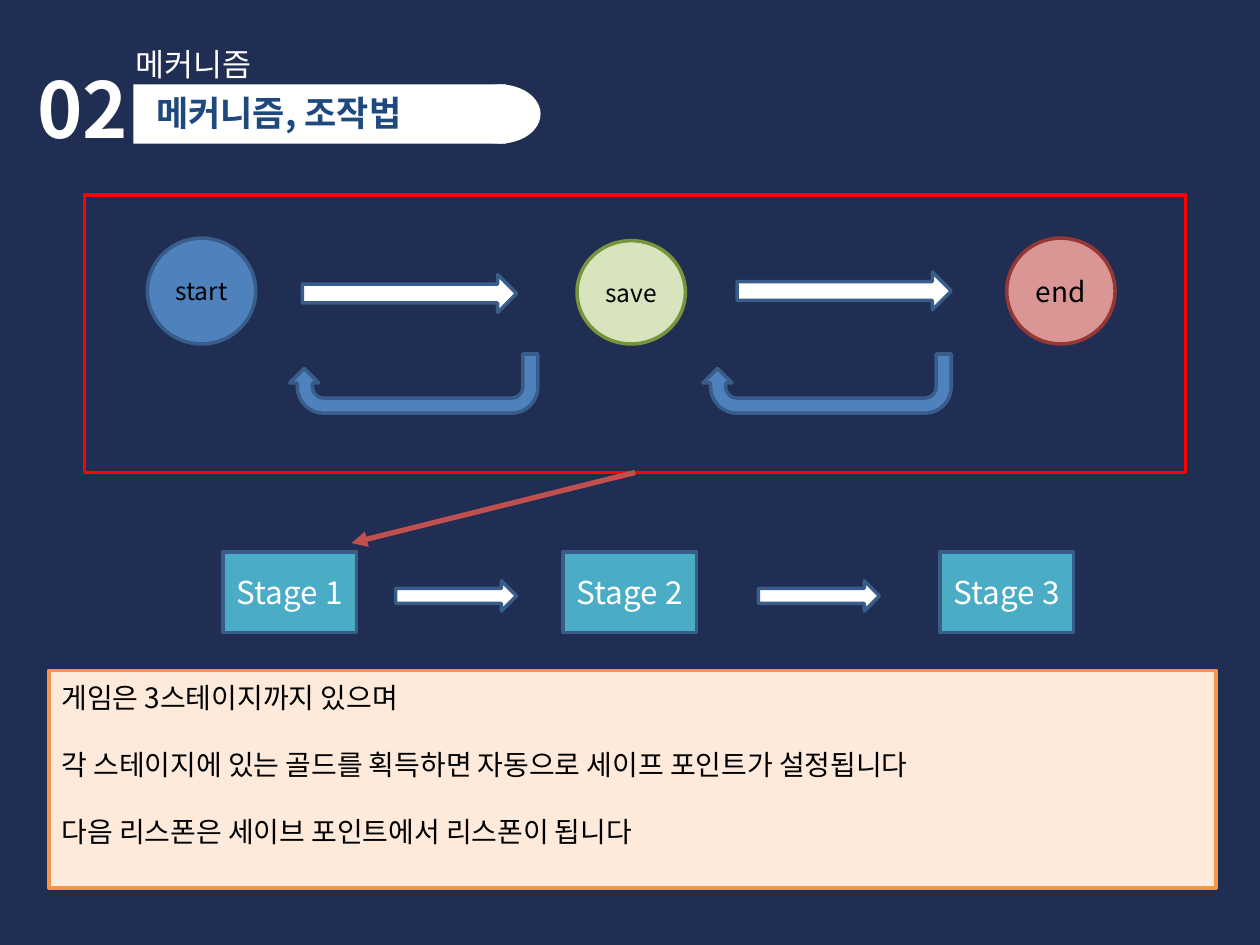
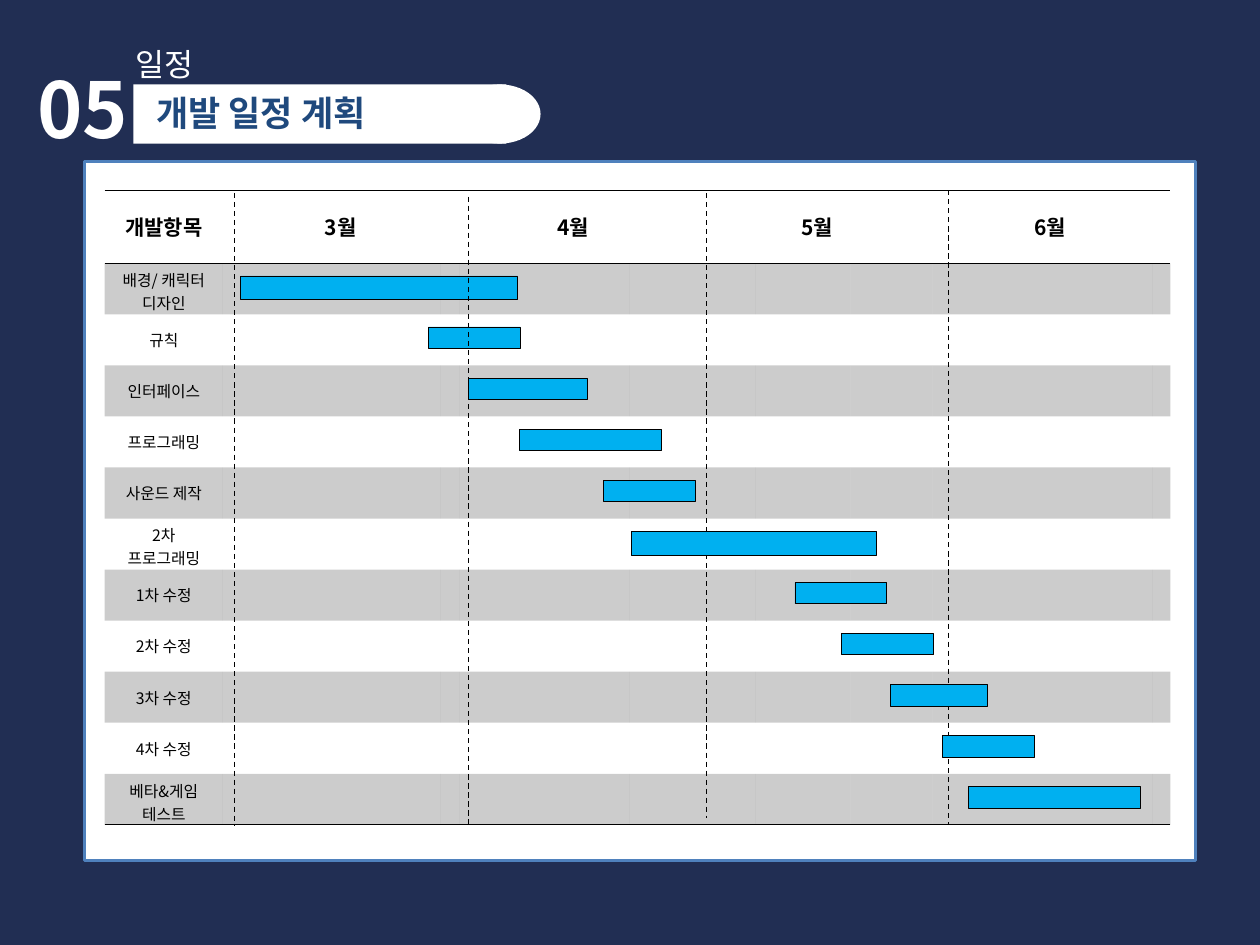
"""Build the game mechanism slide and the development schedule slide."""
import math

import pptx
import pptx.dml.color
import pptx.enum.dml
import pptx.enum.shapes
import pptx.enum.text
import pptx.oxml
import pptx.oxml.ns
import pptx.util

Inches = pptx.util.Inches
Pt = pptx.util.Pt
RGBColor = pptx.dml.color.RGBColor
Shape = pptx.enum.shapes.MSO_SHAPE
Anchor = pptx.enum.text.MSO_ANCHOR
Align = pptx.enum.text.PP_ALIGN
qn = pptx.oxml.ns.qn

FONT = "Noto Sans CJK KR"
NAVY = RGBColor(0x21, 0x2E, 0x53)
WHITE = RGBColor(0xFF, 0xFF, 0xFF)
BLACK = RGBColor(0x00, 0x00, 0x00)
TITLE_BLUE = RGBColor(0x1F, 0x49, 0x7D)
BLUE = RGBColor(0x4F, 0x81, 0xBD)
EDGE_BLUE = RGBColor(0x38, 0x5D, 0x8A)
TEAL = RGBColor(0x4B, 0xAC, 0xC6)
RED = RGBColor(0xFF, 0x00, 0x00)
BRICK = RGBColor(0xC0, 0x50, 0x4D)
PEACH = RGBColor(0xFD, 0xEA, 0xDA)
ORANGE = RGBColor(0xF7, 0x96, 0x46)
PALE_GREEN = RGBColor(0xD7, 0xE4, 0xBD)
GREEN = RGBColor(0x77, 0x93, 0x3C)
PINK = RGBColor(0xD9, 0x96, 0x94)
DARK_RED = RGBColor(0x95, 0x37, 0x35)
BAR_BLUE = RGBColor(0x00, 0xB0, 0xF0)

COLUMN_WIDTHS = [0.94, 1.73, 0.15, 1.35, 1, 0.75, 0.65, 1.75, 0.13]
HEADER_HEIGHT = 0.58
HEADERS = {0: ("개발항목", 0), 1: ("3월", 0.14), 3: ("4월", 0.45),
           5: ("5월", 0.22), 7: ("6월", 0.12)}
MONTH_LINES = [(1.03, 0.02, 5.04), (2.89, 0.05, 5.04), (4.78, 0.02, 4.98), (6.7, 0, 5.04)]
TASKS = [
    ("배경/ 캐릭터\n디자인", 1.08, 2.2, 0.19),
    ("규칙", 2.57, 0.73, 0.17),
    ("인터페이스", 2.89, 0.94, 0.17),
    ("프로그래밍", 3.29, 1.13, 0.17),
    ("사운드 제작", 3.96, 0.73, 0.17),
    ("2차\n프로그래밍", 4.18, 1.95, 0.19),
    ("1차 수정", 5.48, 0.73, 0.17),
    ("2차 수정", 5.85, 0.73, 0.17),
    ("3차 수정", 6.24, 0.77, 0.17),
    ("4차 수정", 6.65, 0.73, 0.17),
    ("베타&게임\n테스트", 6.86, 1.36, 0.17),
]


def inside(box, left, top, width, height):
    """Return lengths for a part placed relative to the corner of a box."""
    return [Inches(n) for n in (box[0] + left, box[1] + top, width, height)]


def write_text(frame, text, size=18, color=WHITE, bold=False, align=Align.LEFT,
               anchor=Anchor.TOP, space_after=0):
    """Fill a text frame with one formatted paragraph per line of text."""
    frame.word_wrap = True
    frame.vertical_anchor = anchor
    for index, line in enumerate(text.split("\n")):
        paragraph = frame.add_paragraph() if index else frame.paragraphs[0]
        paragraph.alignment = align
        paragraph.space_after = Pt(space_after)
        run = paragraph.add_run()
        run.text = line
        run.font.name = FONT
        run.font.size = Pt(size)
        run.font.bold = bold
        run.font.color.rgb = color
        east_asian = run.font._element.makeelement(qn("a:ea"), {"typeface": FONT})
        run.font._element.find(qn("a:latin")).addnext(east_asian)


def style_shape(shape, fill=None, line=None, width=2):
    """Give a shape its fill and outline and drop its shadow."""
    shape.shadow.inherit = False
    if fill is None:
        shape.fill.background()
    else:
        shape.fill.solid()
        shape.fill.fore_color.rgb = fill
    if line is None:
        shape.line.fill.background()
    else:
        shape.line.color.rgb = line
        shape.line.width = Pt(width)
    return shape


def add_block(shapes, kind, place, text="", size=18, color=WHITE, **style):
    """Add a preset shape with optional centred text."""
    shape = style_shape(shapes.add_shape(kind, *place), **style)
    if text:
        shape.text_frame.margin_left = shape.text_frame.margin_right = 0
        write_text(shape.text_frame, text, size=size, color=color,
                   align=Align.CENTER, anchor=Anchor.MIDDLE)
    return shape


def add_line(slide, start, end, color, width):
    """Add a straight connector without a shadow."""
    connector = slide.shapes.add_connector(
        pptx.enum.shapes.MSO_CONNECTOR.STRAIGHT, *[Inches(n) for n in (*start, *end)])
    connector.line.color.rgb = color
    connector.line.width = Pt(width)
    properties = connector._element.spPr
    properties.append(properties.makeelement(qn("a:effectLst"), {}))
    return connector


def add_heading(slide, box, number, section, title):
    """Add the number, section name and title on its rounded band."""
    number_box = slide.shapes.add_textbox(*inside(box, 0, 0.13, 1.1, 0.84))
    write_text(number_box.text_frame, number, size=44, bold=True)
    band = slide.shapes.add_group_shape().shapes
    add_block(band, Shape.RECTANGLE, inside(box, 0.86, 0.36, 2.96, 0.47), fill=WHITE)
    add_block(band, Shape.OVAL, inside(box, 3.44, 0.36, 0.65, 0.47), fill=WHITE)
    placeholder = slide.shapes.title
    placeholder.left, placeholder.top, placeholder.width, placeholder.height = inside(
        box, 0.94, 0.37, 2.92, 0.44)
    write_text(placeholder.text_frame, title, size=20, color=TITLE_BLUE, bold=True)
    placeholder.text_frame.auto_size = pptx.enum.text.MSO_AUTO_SIZE.NONE
    slide.shapes._spTree.append(placeholder._element)
    section_box = slide.shapes.add_textbox(*inside(box, 0.78, 0, 2.24, 0.4))
    write_text(section_box.text_frame, section)


def arc(center_x, center_y, radius, start, end):
    """Return points along a circular arc between two angles in degrees."""
    angles = [math.radians(start + (end - start) * step / 8) for step in range(9)]
    return [(center_x + radius * math.cos(a), center_y + radius * math.sin(a)) for a in angles]


def add_return_arrow(slide, box):
    """Add a U-shaped arrow that runs back to the left and points up."""
    left, top, width, height = box
    outer, inner, head = 0.21, 0.09, 0.23
    center_y = top + height - outer
    near, far = left + 0.06 + outer, left + width - outer
    points = [(left + width, top), *arc(far, center_y, outer, 0, 90),
              *arc(near, center_y, outer, 90, 180), (left + 0.06, top + head),
              (left, top + head), (left + 0.115, top + 0.115), (left + 0.23, top + head),
              (near - inner, top + head), *arc(near, center_y, inner, 180, 90),
              *arc(far, center_y, inner, 90, 0), (far + inner, top)]
    points = [(Inches(x), Inches(y)) for x, y in points]
    builder = slide.shapes.build_freeform(*points[0], scale=1.0)
    builder.add_line_segments(points[1:], close=True)
    style_shape(builder.convert_to_shape(), fill=BLUE, line=EDGE_BLUE)


def add_save_flow(slide, box):
    """Add the start, save and end flow and return its red frame."""
    for text, left, top, height, size, fill, line in [
            ("save", 3.91, 0.36, 0.82, 14, PALE_GREEN, GREEN),
            ("end", 7.32, 0.34, 0.84, 16, PINK, DARK_RED),
            ("start", 0.5, 0.34, 0.84, 14, BLUE, EDGE_BLUE)]:
        add_block(slide.shapes, Shape.OVAL, inside(box, left, top, 0.86, height), text,
                  size=size, color=BLACK, fill=fill, line=line)
    for left, top in [(1.73, 0.63), (5.18, 0.61)]:
        add_block(slide.shapes, Shape.RIGHT_ARROW, inside(box, left, top, 1.7, 0.3),
                  fill=WHITE, line=EDGE_BLUE)
    for left in (1.63, 4.91):
        add_return_arrow(slide, (box[0] + left, box[1] + 1.26, 1.97, 0.47))
    return add_block(slide.shapes, Shape.RECTANGLE, inside(box, 0, 0, *box[2:]), line=RED)


def add_stages(slide, box):
    """Add the three stages and the arrows between them."""
    for index, left in enumerate((0, 2.7, 5.69), start=1):
        add_block(slide.shapes, Shape.RECTANGLE, inside(box, left, 0, 1.06, 0.64),
                  f"Stage {index}", fill=TEAL, line=EDGE_BLUE)
    for left in (1.37, 4.25):
        add_block(slide.shapes, Shape.RIGHT_ARROW, inside(box, left, 0.23, 0.96, 0.24),
                  fill=WHITE, line=EDGE_BLUE)


def add_rules(slide, box):
    """Add the panel that explains stages and save points."""
    panel = add_block(slide.shapes, Shape.RECTANGLE, inside(box, 0, 0, *box[2:]),
                      fill=PEACH, line=ORANGE)
    panel.text_frame.margin_bottom = Inches(0.29)
    write_text(panel.text_frame,
               "게임은 3스테이지까지 있으며\n"
               "각 스테이지에 있는 골드를 획득하면 자동으로 세이프 포인트가 설정됩니다\n"
               "다음 리스폰은 세이브 포인트에서 리스폰이 됩니다",
               size=16, color=BLACK, anchor=Anchor.MIDDLE, space_after=19)
    panel.text_frame.paragraphs[-1].space_after = Pt(0)


def add_border(cell, side):
    """Draw a thin black border on the top (T) or bottom (B) of a cell."""
    cell._tc.get_or_add_tcPr().append(pptx.oxml.parse_xml(
        f'<a:ln{side} xmlns:a="http://schemas.openxmlformats.org/drawingml/2006/main" '
        'w="5715"><a:solidFill><a:srgbClr val="000000"/></a:solidFill>'
        f'</a:ln{side}>'))


def fill_cell(cell, shaded):
    """Shade a cell with translucent black or leave it clear."""
    if not shaded:
        cell.fill.background()
        return
    cell.fill.solid()
    cell.fill.fore_color.rgb = BLACK
    color = cell._tc.tcPr.find(qn("a:solidFill"))[0]
    color.append(color.makeelement(qn("a:alpha"), {"val": "20000"}))


def add_schedule_table(slide, box, row_height):
    """Add the table of tasks and months."""
    table = slide.shapes.add_table(len(TASKS) + 1, len(COLUMN_WIDTHS),
                                   *inside(box, 0, 0, *box[2:])).table
    table.first_row = table.horz_banding = False
    table._tbl.tblPr.find(qn("a:tableStyleId")).text = "{2D5ABB26-0587-4C30-8999-92F81FD0307C}"
    for column, width in zip(table.columns, COLUMN_WIDTHS):
        column.width = Inches(width)
    for row_index, row in enumerate(table.rows):
        row.height = Inches(row_height if row_index else HEADER_HEIGHT)
        for column_index, cell in enumerate(row.cells):
            cell.margin_left = cell.margin_right = Inches(0.05)
            cell.margin_top = cell.margin_bottom = 0
            if row_index == 0:
                add_border(cell, "T")
            if row_index in (0, len(TASKS)):
                add_border(cell, "B")
            fill_cell(cell, row_index % 2 == 1)
            if row_index == 0 and column_index in HEADERS:
                text, indent = HEADERS[column_index]
                cell.margin_left = Inches(0.05 + indent)
                write_text(cell.text_frame, text, size=12, color=BLACK, bold=True,
                           align=Align.CENTER)
            elif row_index and column_index == 0:
                text = TASKS[row_index - 1][0]
                cell.margin_top = Inches(0.04 if "\n" in text else 0)
                write_text(cell.text_frame, text, size=9, color=BLACK, align=Align.CENTER)
            cell.vertical_anchor = Anchor.MIDDLE


def add_schedule(slide, box):
    """Add the schedule table with its task bars and month lines."""
    row_height = (box[3] - HEADER_HEIGHT) / len(TASKS)
    add_schedule_table(slide, box, row_height)
    for index, (_, left, width, height) in enumerate(TASKS):
        if index == 2:
            for x, top, bottom in MONTH_LINES:
                line = add_line(slide, (box[0] + x, box[1] + top),
                                (box[0] + x, box[1] + bottom), BLACK, 0.75)
                line.line.dash_style = pptx.enum.dml.MSO_LINE.DASH
        top = HEADER_HEIGHT + index * row_height + 0.1
        add_block(slide.shapes, Shape.RECTANGLE, inside(box, left, top, width, height),
                  fill=BAR_BLUE, line=BLACK, width=0.5)


def build_mechanism(slide):
    """Build the slide about the mechanism and controls."""
    add_heading(slide, (0.2, 0.31), "02", "메커니즘", "메커니즘, 조작법")
    add_rules(slide, (0.39, 5.32, 9.26, 1.73))
    frame = add_save_flow(slide, (0.67, 1.55, 8.74, 2.2))
    pointer = add_line(slide, (5.04, 3.75), (2.79, 4.31), BRICK, 3)
    pointer.begin_connect(frame, 2)
    outline = pointer.line._get_or_add_ln()
    outline.append(outline.makeelement(qn("a:tailEnd"), {"type": "triangle"}))
    add_stages(slide, (1.77, 4.38))


def build_schedule(slide):
    """Build the slide with the development schedule."""
    add_block(slide.shapes, Shape.RECTANGLE, inside((0.67, 1.28), 0, 0, 8.82, 5.55),
              fill=WHITE, line=BLUE)
    add_heading(slide, (0.2, 0.31), "05", "일정", "개발 일정 계획")
    add_schedule(slide, (0.83, 1.51, 8.46, 5.04))


def main():
    """Create both slides and save the presentation."""
    presentation = pptx.Presentation()
    presentation.slide_width, presentation.slide_height = Inches(10), Inches(7.5)
    background = presentation.slide_master.background.fill
    background.solid()
    background.fore_color.rgb = NAVY
    for build in (build_mechanism, build_schedule):
        build(presentation.slides.add_slide(presentation.slide_layouts[5]))
    presentation.save("out.pptx")


if __name__ == "__main__":
    main()
